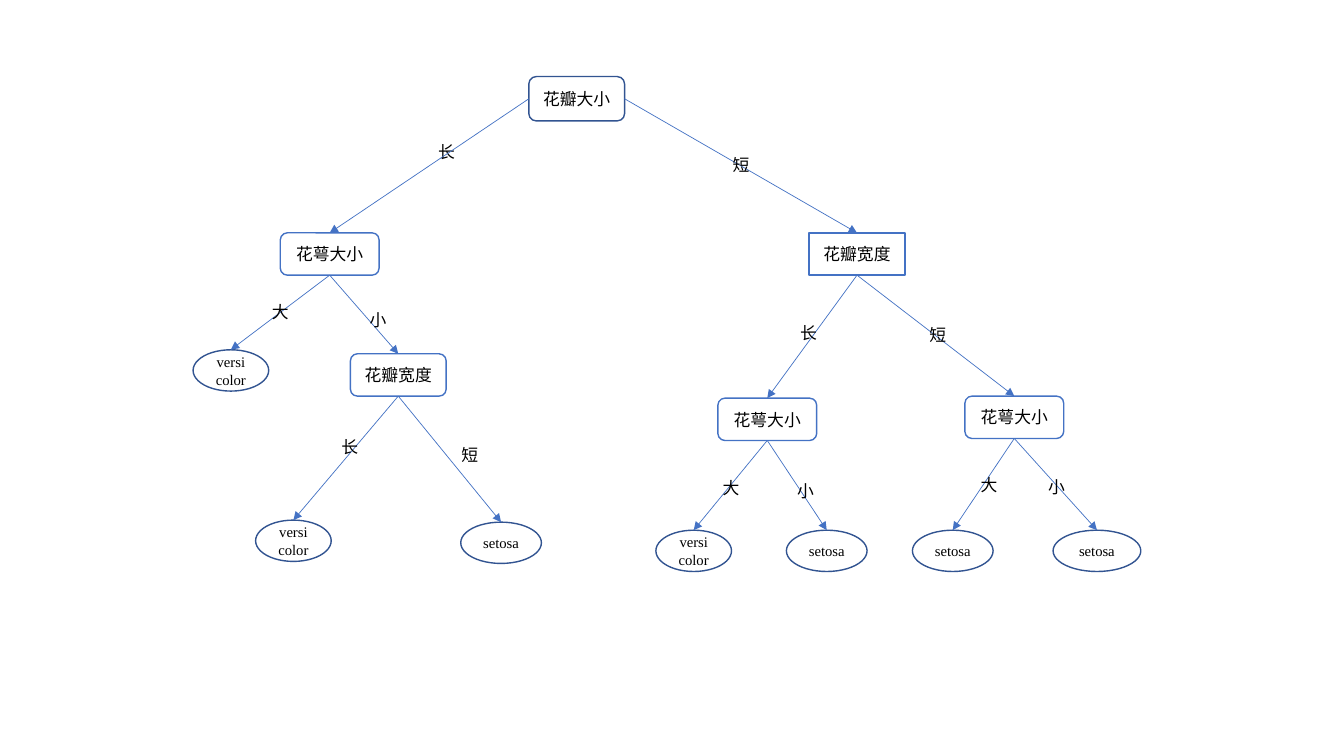
"""Build a slide with a decision tree that sorts iris flowers."""
from dataclasses import dataclass

from lxml import etree
from pptx import Presentation
from pptx.dml.color import RGBColor
from pptx.enum.shapes import MSO_CONNECTOR, MSO_SHAPE
from pptx.enum.text import MSO_ANCHOR, MSO_AUTO_SIZE, PP_ALIGN
from pptx.oxml.ns import qn
from pptx.util import Inches, Pt

ROUND, OVAL = MSO_SHAPE.ROUNDED_RECTANGLE, MSO_SHAPE.OVAL
STRAIGHT = MSO_CONNECTOR.STRAIGHT
MIDDLE, CENTER, FIXED = MSO_ANCHOR.MIDDLE, PP_ALIGN.CENTER, MSO_AUTO_SIZE.NONE
TOP, LEFT, BOTTOM, RIGHT = range(4)


@dataclass(frozen=True)
class Theme:
    """Colours, fonts and sizes of the tree."""
    ink: str = "000000"
    paper: str = "FFFFFF"
    blue: str = "4472C4"
    navy: str = "325491"
    han: tuple = ("Noto Sans CJK SC", 12)
    roman: tuple = ("Times New Roman", 10.5)
    edge: float = 1
    arrow: float = 0.5


THEME = Theme()
LABEL = (0.36, 0.3)
STYLES = {
    "root": (ROUND, 0.44, THEME.navy, THEME.han),
    "test": (ROUND, 0.42, THEME.blue, THEME.han),
    "leaf": (OVAL, 0.41, THEME.navy, THEME.roman),
}
# name: style, text, centre x, top, width
NODES = {
    "petal": ("root", "花瓣大小", 5.72, 0.76, 0.95),
    "sepal": ("test", "花萼大小", 3.27, 2.31, 0.98),
    "width": ("test", "花瓣宽度", 8.5, 2.31, 0.95),
    "big": ("leaf", "versicolor", 2.29, 3.47, 0.75),
    "small": ("test", "花瓣宽度", 3.95, 3.51, 0.95),
    "small long": ("leaf", "versicolor", 2.91, 5.16, 0.75),
    "small short": ("leaf", "setosa", 4.97, 5.18, 0.8),
    "long": ("test", "花萼大小", 7.61, 3.95, 0.98),
    "short": ("test", "花萼大小", 10.06, 3.93, 0.98),
    "long big": ("leaf", "versicolor", 6.88, 5.26, 0.75),
    "long small": ("leaf", "setosa", 8.2, 5.26, 0.8),
    "short big": ("leaf", "setosa", 9.45, 5.26, 0.8),
    "short small": ("leaf", "setosa", 10.88, 5.26, 0.87),
}
# parent, exit side, child, label, label centre
EDGES = [
    ("petal", LEFT, "sepal", "长", (4.43, 1.51)),
    ("petal", RIGHT, "width", "短", (7.35, 1.64)),
    ("sepal", BOTTOM, "big", "大", (2.78, 3.09)),
    ("sepal", BOTTOM, "small", "小", (3.75, 3.17)),
    ("small", BOTTOM, "small long", "长", (3.47, 4.43)),
    ("small", BOTTOM, "small short", "短", (4.66, 4.51)),
    ("width", BOTTOM, "long", "长", (8.02, 3.3)),
    ("width", BOTTOM, "short", "短", (9.3, 3.32)),
    ("long", BOTTOM, "long big", "大", (7.25, 4.84)),
    ("long", BOTTOM, "long small", "小", (7.99, 4.87)),
    ("short", BOTTOM, "short big", "大", (9.81, 4.81)),
    ("short", BOTTOM, "short small", "小", (10.48, 4.83)),
]


def color(code):
    """Turn a hex code into a colour."""
    return RGBColor.from_string(code)


def place(shape, left, top, width, height):
    """Move and size a shape, in inches."""
    shape.left, shape.top = Inches(left), Inches(top)
    shape.width, shape.height = Inches(width), Inches(height)


def write(shape, text, face):
    """Fill a shape with centred text."""
    name, size = face
    frame = shape.text_frame
    frame.text = text
    frame.auto_size, frame.word_wrap = FIXED, True
    frame.vertical_anchor = MIDDLE
    para = frame.paragraphs[0]
    para.alignment, para.line_spacing, para.space_before = CENTER, 1.0, Pt(0)
    font = para.font
    font.name, font.size = name, Pt(size)
    font.color.rgb = color(THEME.ink)
    run = para.runs[0].font
    run.name = name
    rule = para.runs[0]._r.get_or_add_rPr()
    etree.SubElement(rule, qn("a:ea"), typeface=name)


def paint(shape, line):
    """Give a node its fill and outline."""
    shape.fill.solid()
    shape.fill.fore_color.rgb = color(THEME.paper)
    shape.line.color.rgb = color(line)
    shape.line.width = Pt(THEME.edge)


def add_node(slide, style, text, mid, top, width, holder=None):
    """Draw one node of the tree."""
    form, height, line, face = STYLES[style]
    node = holder
    if node is None:
        node = slide.shapes.add_shape(form, 0, 0, 0, 0)
        node.shadow.inherit = False
    place(node, mid - width / 2, top, width, height)
    paint(node, line)
    write(node, text, face)
    return node


def add_arrow(slide, start, side, end):
    """Join two nodes with an arrow."""
    arrow = slide.shapes.add_connector(STRAIGHT, 0, 0, 0, 0)
    arrow.begin_connect(start, side)
    arrow.end_connect(end, TOP)
    arrow.line.color.rgb = color(THEME.blue)
    arrow.line.width = Pt(THEME.arrow)
    etree.SubElement(arrow.line._get_or_add_ln(), qn("a:tailEnd"), type="triangle")
    etree.SubElement(arrow._element.spPr, qn("a:effectLst"))


def add_label(slide, text, mid, holder=None):
    """Write the answer that an arrow stands for."""
    box = holder
    if box is None:
        box = slide.shapes.add_textbox(0, 0, 0, 0)
    width, height = LABEL
    place(box, mid[0] - width / 2, mid[1] - height / 2, width, height)
    write(box, text, THEME.han)
    frame = box.text_frame
    frame.margin_left = frame.margin_right = 0
    frame.margin_top = frame.margin_bottom = 0


def main():
    """Build and save the slide."""
    deck = Presentation()
    deck.slide_width, deck.slide_height = Inches(13.33), Inches(7.5)
    slide = deck.slides.add_slide(deck.slide_layouts[0])
    title, body = slide.placeholders
    holders = {"width": body, "sepal": title}
    nodes = {
        name: add_node(slide, *row, holder=body if name == "width" else None)
        for name, row in NODES.items()
    }
    for start, side, end, _, _ in EDGES:
        add_arrow(slide, nodes[start], side, nodes[end])
    for index, (_, _, _, text, mid) in enumerate(EDGES):
        add_label(slide, text, mid, None if index else title)
    deck.save("out.pptx")


main()
